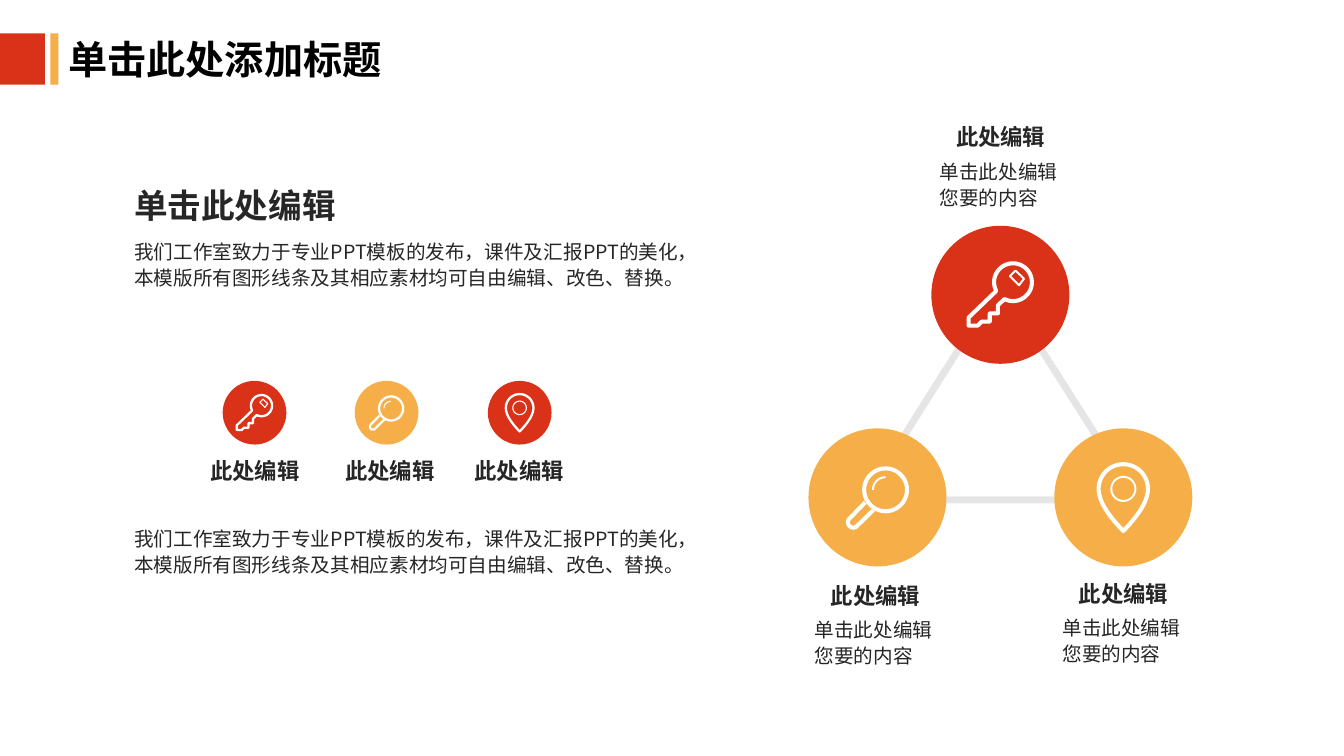
import math
from dataclasses import dataclass

import pptx
import pptx.dml.color
import pptx.enum.shapes
import pptx.enum.text
import pptx.oxml.ns
import pptx.util
from lxml import etree

Pt = pptx.util.Pt
RGBColor = pptx.dml.color.RGBColor
MSO_SHAPE = pptx.enum.shapes.MSO_SHAPE
PP_ALIGN = pptx.enum.text.PP_ALIGN
qn = pptx.oxml.ns.qn

RED = RGBColor(0xDA, 0x32, 0x18)
ORANGE = RGBColor(0xF6, 0xAF, 0x48)
GREY = RGBColor(0xE5, 0xE5, 0xE5)
DARK = RGBColor(0x26, 0x26, 0x26)
BLACK = RGBColor(0, 0, 0)
WHITE = RGBColor(0xFF, 0xFF, 0xFF)
FONT = "Noto Sans CJK SC"

Point = tuple[float, float]


@dataclass
class Stroke:
    points: list[Point]
    width: float = 2.9
    closed: bool = True


@dataclass
class Badge:
    x: float
    y: float
    size: float
    color: RGBColor
    icon: list[Stroke]
    label_x: float
    label_top: float
    body: str = ""


# Curves for the icons, in points around the badge centre
def arc(cx: float, cy: float, r: float, start: float, end: float) -> list[Point]:
    n = 40
    angles = [math.radians(start + (end - start) * i / n) for i in range(n + 1)]
    return [(cx + r * math.cos(a), cy + r * math.sin(a)) for a in angles]


def bezier(a: Point, b: Point, c: Point, d: Point) -> list[Point]:
    n = 20
    points = []
    for i in range(n + 1):
        t = i / n
        u = 1 - t
        weights = (u**3, 3 * u * u * t, 3 * u * t * t, t**3)
        points.append(tuple(sum(w * p[k] for w, p in zip(weights, (a, b, c, d)))
                            for k in (0, 1)))
    return points


THIN = 1.4
KEY = [
    Stroke([(-3.2, -2.5), (-22.7, 16.2), (-22.7, 22), (-16.2, 22), (-13.3, 19.1),
            (-7.6, 19.1), (-7.6, 13.3), (-1.8, 13.3), (-1.8, 7.6)]
           + arc(9, -9, 13.5, 117, -204)),
    Stroke([(6.8, -13.3), (10.8, -17.3), (16.9, -11.5), (13.3, -6.8)], THIN),
]
MAGNIFIER = [
    Stroke(arc(5.8, -5.4, 15.3, 0, 360)),
    Stroke([(-8.8, 3.6)] + arc(-17.3, 17.8, 3.8, 225, 45) + [(-2.9, 9)], closed=False),
    Stroke(arc(5.8, -5.4, 9, 180, 270), THIN, closed=False),
]
TIP = (0, 24)
PIN = [
    Stroke(arc(0, -6.1, 17.6, 180, 360)
           + bezier((17.6, -6.1), (17.6, 4.3), (8, 15.6), TIP)
           + bezier(TIP, (-8, 15.6), (-17.6, 4.3), (-17.6, -6.1))),
    Stroke(arc(0, -6.1, 8.6, 0, 360), THIN),
]


def add_filled(s, kind, x: float, y: float, w: float, h: float, color: RGBColor):
    sp = s.shapes.add_shape(kind, Pt(x), Pt(y), Pt(w), Pt(h))
    sp.shadow.inherit = False
    sp.fill.solid()
    sp.fill.fore_color.rgb = color
    sp.line.fill.background()
    return sp


def add_outline(s, points: list[Point], color: RGBColor, width: float,
                closed: bool = True, rounded: bool = True):
    emu = [(Pt(x), Pt(y)) for x, y in points]
    builder = s.shapes.build_freeform(*emu[0], scale=1.0)
    builder.add_line_segments(emu[1:], close=closed)
    sp = builder.convert_to_shape()
    sp.shadow.inherit = False
    sp.fill.background()
    sp.line.color.rgb = color
    sp.line.width = Pt(width)
    if rounded:
        etree.SubElement(sp.line._get_or_add_ln(), qn("a:round"))
    return sp


def add_text(s, text: str, x: float, y: float, w: float, h: float, *, size: float = 14,
             color: RGBColor = DARK, bold: bool = False, align=PP_ALIGN.LEFT,
             wrap: bool = True, inset: bool = False, spacing: float | None = 18.6):
    tf = s.shapes.add_textbox(Pt(x), Pt(y), Pt(w), Pt(h)).text_frame
    tf.word_wrap = wrap
    if not inset:
        tf.margin_left = tf.margin_right = tf.margin_top = tf.margin_bottom = 0
    p = tf.paragraphs[0]
    p.alignment = align
    if spacing:
        p.line_spacing = Pt(spacing)
    r = p.add_run()
    r.text = text
    r.font.size = Pt(size)
    r.font.bold = bold
    r.font.color.rgb = color
    r.font.name = FONT
    etree.SubElement(r._r.get_or_add_rPr(), qn("a:ea"), typeface=FONT)


def add_badge(s, badge: Badge) -> None:
    d = badge.size
    add_filled(s, MSO_SHAPE.OVAL, badge.x - d / 2, badge.y - d / 2, d, d, badge.color)
    scale = 1 if d == LARGE else 0.56
    for stroke in badge.icon:
        points = [(badge.x + x * scale, badge.y + y * scale) for x, y in stroke.points]
        add_outline(s, points, WHITE, stroke.width * scale, stroke.closed)
    add_text(s, "此处编辑", badge.label_x - 32.4, badge.label_top, 64.8, 19.4,
             size=16, bold=True, align=PP_ALIGN.CENTER, wrap=False)
    if badge.body:
        add_text(s, badge.body, badge.label_x - 50.8, badge.label_top + 20.1,
                 101.5, 44, inset=True)


LARGE, SMALL = 98.6, 45.5
ROW_Y, ROW_LABEL = 294.8, 326.9
BODY = "单击此处编辑您要的内容"
INTRO = "我们工作室致力于专业PPT模板的发布，课件及汇报PPT的美化，本模版所有图形线条及其相应素材均可自由编辑、改色、替换。"
BADGES = [
    Badge(626.8, 355.3, LARGE, ORANGE, MAGNIFIER, 625.5, 416.2, BODY),
    Badge(802.4, 355.3, LARGE, ORANGE, PIN, 802.6, 414.7, BODY),
    Badge(714.6, 210.6, LARGE, RED, KEY, 714.8, 88.6, BODY),
    Badge(181.8, ROW_Y, SMALL, RED, KEY, 182.2, ROW_LABEL),
    Badge(276.1, ROW_Y, SMALL, ORANGE, MAGNIFIER, 278.6, ROW_LABEL),
    Badge(371.2, ROW_Y, SMALL, RED, PIN, 370.8, ROW_LABEL),
]


def main() -> None:
    prs = pptx.Presentation()
    prs.slide_width, prs.slide_height = Pt(960), Pt(540)
    s = prs.slides.add_slide(prs.slide_layouts[6])

    # Title bar
    add_filled(s, MSO_SHAPE.RECTANGLE, 0, 23.8, 32, 36.7, RED)
    add_filled(s, MSO_SHAPE.RECTANGLE, 36, 23.8, 5.8, 36.7, ORANGE)
    add_text(s, "单击此处添加标题", 41.8, 21.6, 239.8, 41, size=28, color=BLACK,
             bold=True, inset=True, spacing=None)

    # Heading and paragraphs on the left
    add_text(s, "单击此处编辑", 95.8, 142.6, 145.4, 19.4, size=24, bold=True, wrap=False)
    for top in (169.9, 374.4):
        add_text(s, INTRO, 95.8, top, 411.1, 38.2)

    # Triangle and badges
    add_outline(s, [(617, 357.1), (812.2, 357.1), (714.2, 203)], GREY, 5, rounded=False)
    for badge in BADGES:
        add_badge(s, badge)

    prs.save("out.pptx")


if __name__ == "__main__":
    main()
